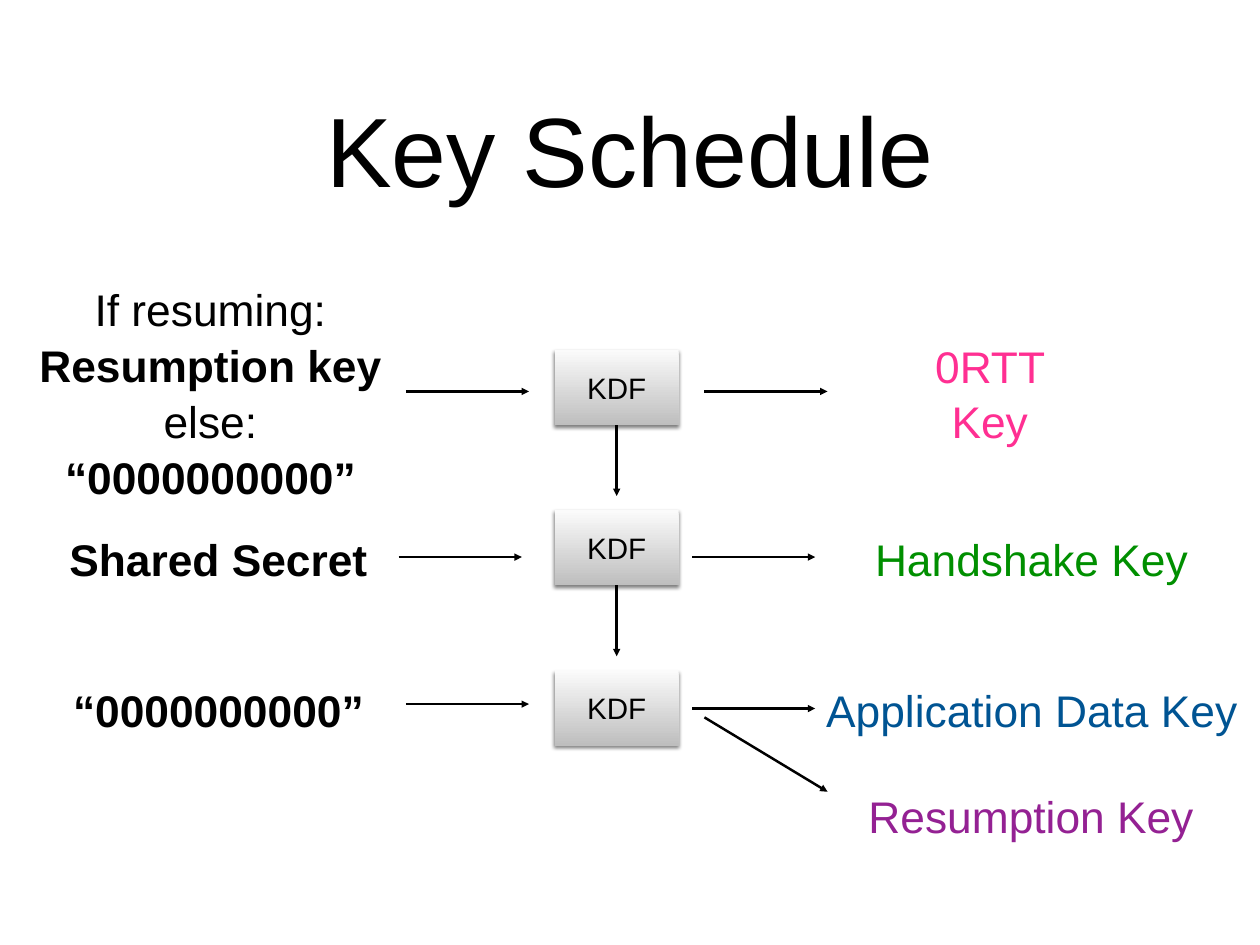
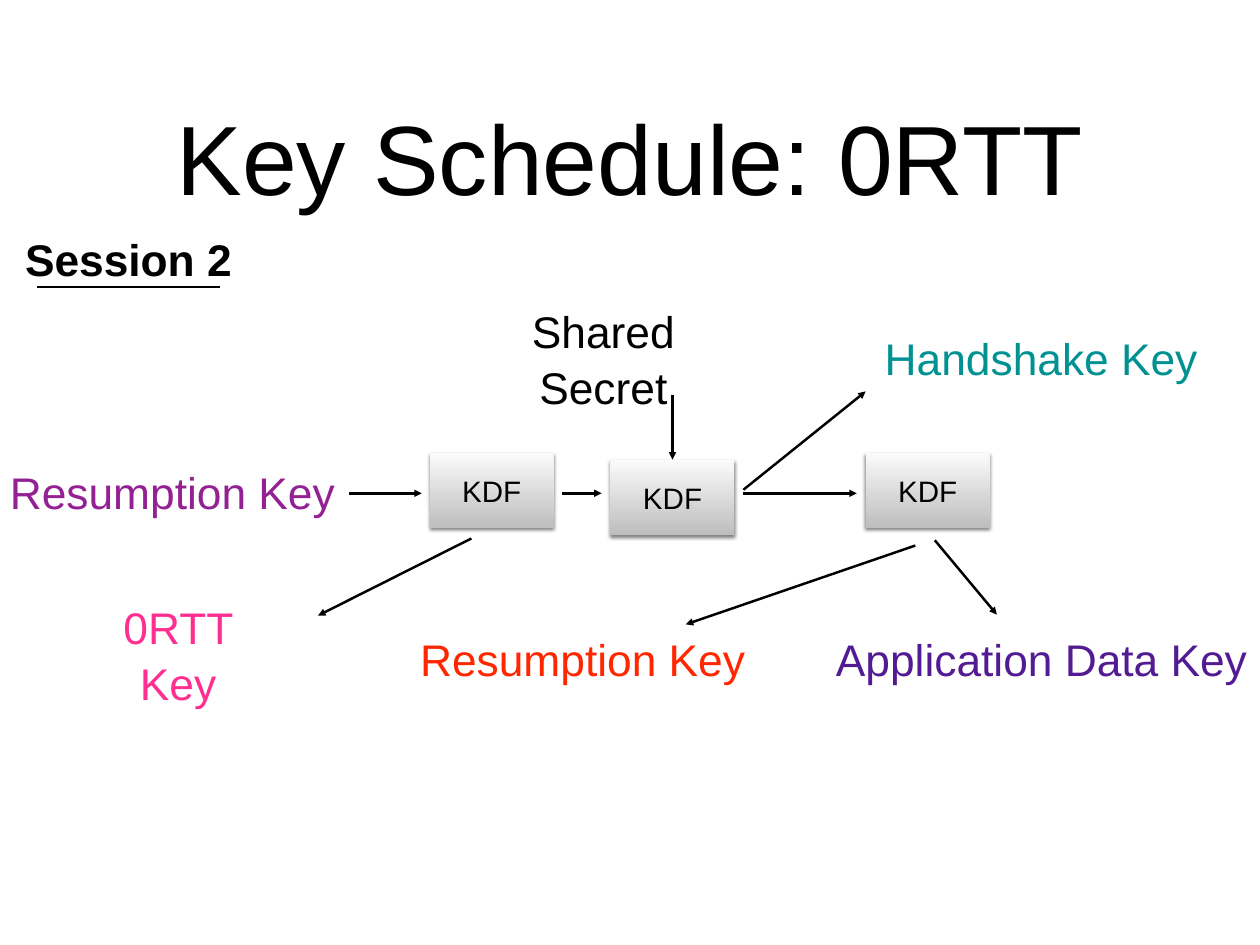
from dataclasses import dataclass
from typing import Optional

from lxml import etree
from pptx import Presentation
from pptx.dml.color import RGBColor
from pptx.enum.shapes import MSO_CONNECTOR, MSO_SHAPE
from pptx.enum.text import MSO_ANCHOR, PP_ALIGN
from pptx.oxml.ns import qn
from pptx.shapes.autoshape import Shape
from pptx.slide import Slide
from pptx.text.text import TextFrame
from pptx.util import Inches, Pt

STRAIGHT = MSO_CONNECTOR.STRAIGHT
RECTANGLE = MSO_SHAPE.RECTANGLE
MIDDLE = MSO_ANCHOR.MIDDLE
CENTER = PP_ALIGN.CENTER
TOP_SIDE, BOTTOM_SIDE = 0, 2

# Shared style
FONT = "Arial"
TITLE_SIZE, LABEL_SIZE, BOX_SIZE = 80, 36, 24
BLACK = RGBColor(0x00, 0x00, 0x00)
LIGHT_GREY = RGBColor(0xFB, 0xFB, 0xFB)
MID_GREY = RGBColor(0xBE, 0xBE, 0xBE)
PINK = RGBColor(0xFF, 0x2F, 0x92)
GREEN = RGBColor(0x00, 0x8F, 0x00)
BLUE = RGBColor(0x00, 0x54, 0x93)
PURPLE = RGBColor(0x94, 0x21, 0x93)
TEAL = RGBColor(0x00, 0x91, 0x93)
RED = RGBColor(0xFF, 0x26, 0x00)
VIOLET = RGBColor(0x53, 0x1B, 0x93)

# Shared geometry in inches
PAGE_WIDTH, PAGE_HEIGHT = 14.22, 10.67
TITLE_LEFT, TITLE_WIDTH, TITLE_HEIGHT = 1.04, 12.14, 2.36
BOX_WIDTH, BOX_HEIGHT = 1.4, 0.85
LABEL_HEIGHT = 0.71
INSET = 0.06
ARROW = 1.39


@dataclass(frozen=True)
class Line:
    text: str
    bold: bool = False


@dataclass(frozen=True)
class Label:
    lines: tuple[Line, ...]
    left: float
    top: float
    width: float
    height: float = LABEL_HEIGHT
    color: RGBColor = BLACK
    wrap: bool = False


@dataclass(frozen=True)
class Link:
    x1: float
    y1: float
    x2: float
    y2: float
    head: bool = True
    from_box: Optional[int] = None
    to_box: Optional[int] = None


@dataclass(frozen=True)
class Diagram:
    title: str
    title_top: float
    boxes: tuple[tuple[float, float], ...]
    labels: tuple[Label, ...]
    links: tuple[Link, ...]


def label(text: str, left: float, top: float, width: float,
          color: RGBColor = BLACK, bold: bool = False, wrap: bool = False) -> Label:
    return Label((Line(text, bold),), left, top, width, color=color, wrap=wrap)


def across(x: float, y: float, length: float = ARROW) -> Link:
    return Link(x, y, x + length, y)


# Slide content
COLUMN_LEFT, COLUMN_TOP, COLUMN_STEP = 6.26, 3.95, 1.81
COLUMN_MIDDLE = COLUMN_LEFT + BOX_WIDTH / 2
COLUMN_BOXES = tuple((COLUMN_LEFT, COLUMN_TOP + row * COLUMN_STEP) for row in range(3))
COLUMN_LINKS = tuple(
    Link(COLUMN_MIDDLE, top + BOX_HEIGHT, COLUMN_MIDDLE, top + BOX_HEIGHT + 0.8, from_box=row)
    for row, (_, top) in enumerate(COLUMN_BOXES[:2])
)

SCHEDULE = Diagram(
    "Key Schedule", 0.49, COLUMN_BOXES,
    (
        Label((Line("If resuming:"), Line("Resumption key", True),
               Line("else:"), Line("“0000000000”", True)), 0.31, 3.17, 4.13, 2.5),
        label("Shared Secret", 0.72, 5.94, 3.49, bold=True),
        label("“0000000000”", 0.76, 7.64, 3.41, bold=True),
        label("0RTT Key", 10.42, 4.07, 1.5, PINK, wrap=True),
        label("Handshake Key", 9.8, 5.94, 3.68, GREEN),
        label("Application Data Key", 9.22, 7.64, 4.85, BLUE),
        label("Resumption Key", 9.74, 8.84, 3.79, PURPLE),
    ),
    COLUMN_LINKS + (
        across(4.58, 4.42), across(7.95, 4.42),
        across(4.5, 6.29), across(7.81, 6.29),
        across(4.58, 7.95), across(7.81, 8),
        Link(7.95, 8.1, 9.34, 8.94),
    ),
)

SCHEDULE_0RTT = Diagram(
    "Key Schedule: 0RTT", 0.58,
    ((4.85, 5.11), (6.89, 5.19), (9.77, 5.11)),
    (
        label("Session 2", 0.22, 2.55, 2.46, bold=True),
        label("Shared Secret", 5.86, 3.68, 1.9, wrap=True),
        label("Handshake Key", 9.91, 3.67, 3.68, TEAL),
        label("Resumption Key", 0.05, 5.18, 3.79, PURPLE),
        label("0RTT Key", 1.26, 7.02, 1.5, PINK, wrap=True),
        label("Resumption Key", 4.68, 7.07, 3.79, RED),
        label("Application Data Key", 9.33, 7.07, 4.85, VIOLET),
    ),
    (
        Link(0.42, 3.24, 2.48, 3.24, head=False),
        across(3.94, 5.57, 0.82), across(6.34, 5.57, 0.45), across(8.39, 5.57, 1.28),
        Link(7.59, 4.46, 7.59, 5.19, to_box=1),
        Link(8.39, 5.53, 9.77, 4.42),
        Link(5.32, 6.08, 3.59, 6.95),
        Link(10.33, 6.16, 7.74, 7.05),
        Link(10.55, 6.1, 11.25, 6.94),
    ),
)


# Drawing
def write(frame: TextFrame, lines: tuple[Line, ...], size: int,
          color: RGBColor = BLACK, wrap: bool = True, spacing: float = 1.0) -> None:
    frame.word_wrap = wrap
    frame.vertical_anchor = MIDDLE
    frame.margin_left = frame.margin_right = Inches(INSET)
    frame.margin_top = frame.margin_bottom = Inches(INSET)
    for index, line in enumerate(lines):
        para = frame.paragraphs[0] if index == 0 else frame.add_paragraph()
        para.alignment = CENTER
        para.line_spacing = spacing
        span = para.add_run()
        span.text = line.text
        span.font.name = FONT
        span.font.size = Pt(size)
        span.font.bold = line.bold
        span.font.color.rgb = color


def add_title(page: Slide, text: str, top: float) -> None:
    box = page.shapes.add_textbox(Inches(TITLE_LEFT), Inches(top),
                                  Inches(TITLE_WIDTH), Inches(TITLE_HEIGHT))
    write(box.text_frame, (Line(text),), TITLE_SIZE)


def add_label(page: Slide, item: Label) -> None:
    box = page.shapes.add_textbox(Inches(item.left), Inches(item.top),
                                  Inches(item.width), Inches(item.height))
    write(box.text_frame, item.lines, LABEL_SIZE, item.color, item.wrap, 1.05)


def add_soft_shadow(box: Shape) -> None:
    box.shadow.inherit = False
    effects = box._element.spPr.find(qn("a:effectLst"))
    shadow = etree.SubElement(effects, qn("a:outerShdw"), blurRad=str(Pt(3)),
                              dist=str(Pt(2)), dir="5400000", rotWithShape="0")
    color = etree.SubElement(shadow, qn("a:srgbClr"), val=str(BLACK))
    etree.SubElement(color, qn("a:alpha"), val="50000")


def add_kdf(page: Slide, left: float, top: float) -> Shape:
    box = page.shapes.add_shape(RECTANGLE, Inches(left), Inches(top),
                                Inches(BOX_WIDTH), Inches(BOX_HEIGHT))
    box.fill.gradient()
    box.fill.gradient_angle = 270
    for stop, position, color in zip(box.fill.gradient_stops, (0, 1), (LIGHT_GREY, MID_GREY)):
        stop.position = position
        stop.color.rgb = color
    box.line.fill.background()
    add_soft_shadow(box)
    write(box.text_frame, (Line("KDF"),), BOX_SIZE)
    return box


def add_link(page: Slide, link: Link, boxes: list[Shape]) -> None:
    line = page.shapes.add_connector(STRAIGHT, Inches(link.x1), Inches(link.y1),
                                     Inches(link.x2), Inches(link.y2))
    if link.from_box is not None:
        line.begin_connect(boxes[link.from_box], BOTTOM_SIDE)
    if link.to_box is not None:
        line.end_connect(boxes[link.to_box], TOP_SIDE)
    line.line.color.rgb = BLACK
    line.line.width = Pt(2)
    if link.head:
        etree.SubElement(line.line._get_or_add_ln(), qn("a:tailEnd"), type="triangle")
    etree.SubElement(line._element.spPr, qn("a:effectLst"))


def add_diagram(page: Slide, diagram: Diagram) -> None:
    add_title(page, diagram.title, diagram.title_top)
    for item in diagram.labels:
        add_label(page, item)
    boxes = [add_kdf(page, left, top) for left, top in diagram.boxes]
    for link in diagram.links:
        add_link(page, link, boxes)


def main() -> None:
    deck = Presentation()
    deck.slide_width = Inches(PAGE_WIDTH)
    deck.slide_height = Inches(PAGE_HEIGHT)
    blank = deck.slide_layouts[6]
    for diagram in (SCHEDULE, SCHEDULE_0RTT):
        add_diagram(deck.slides.add_slide(blank), diagram)
    deck.save("out.pptx")


if __name__ == "__main__":
    main()
